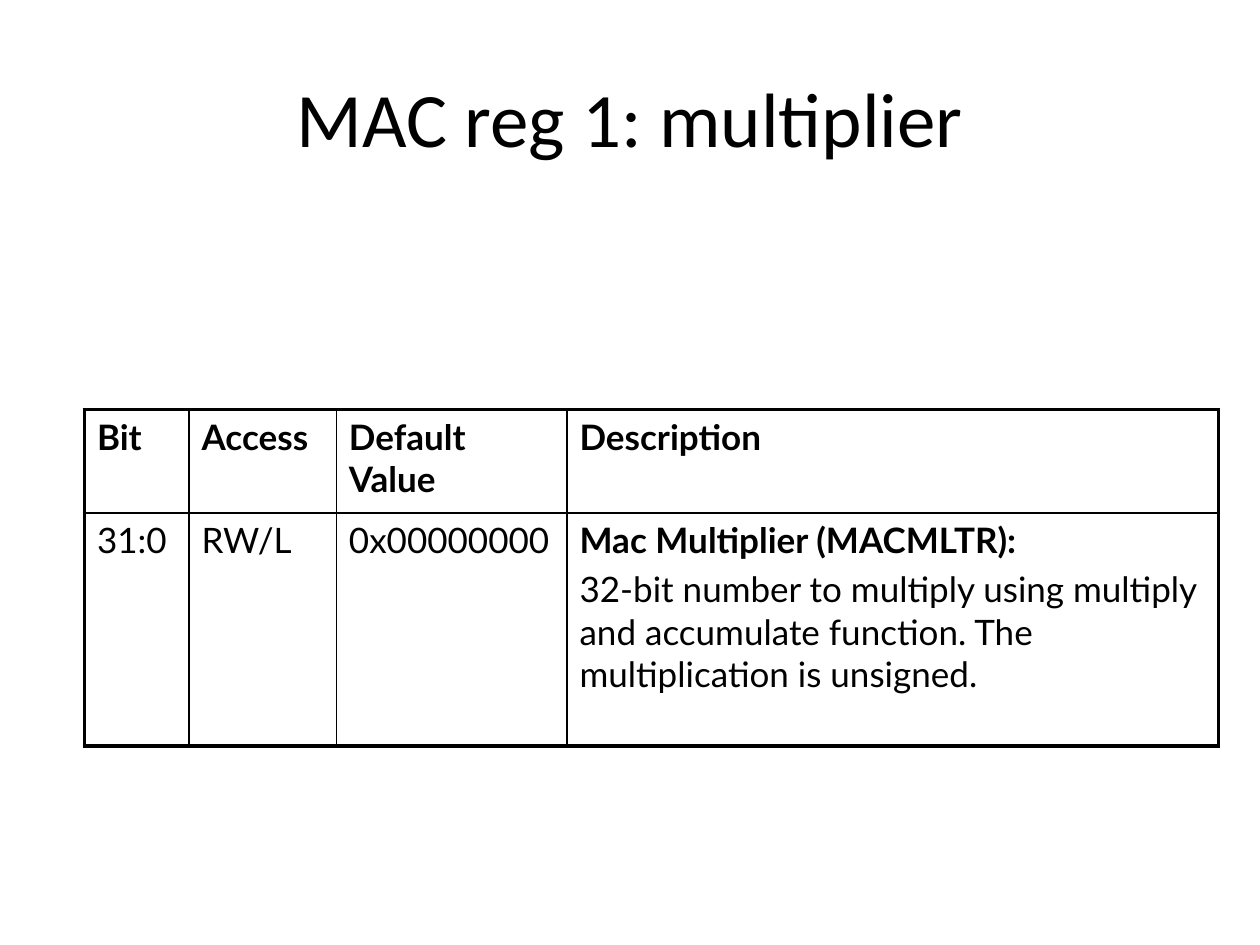
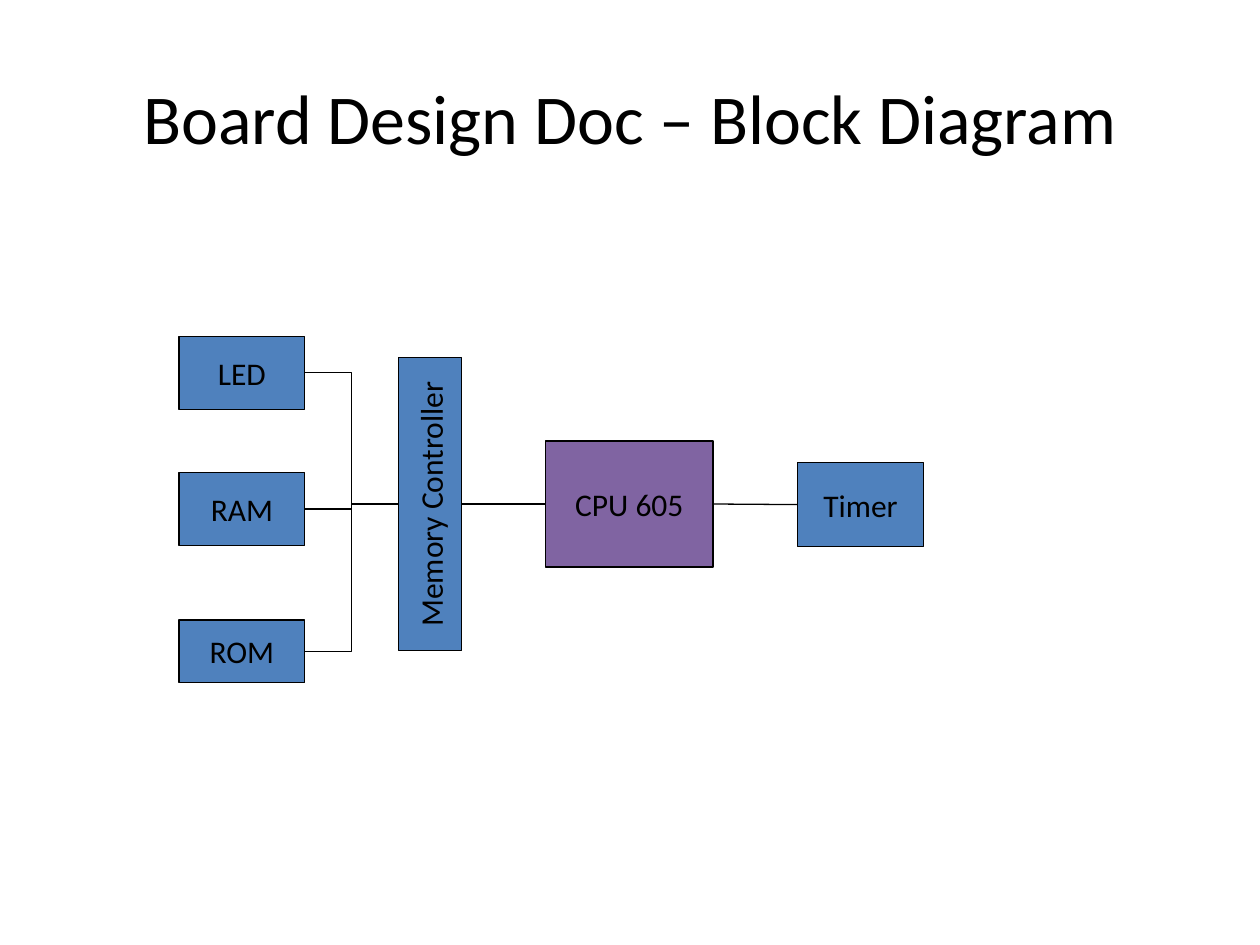
from dataclasses import dataclass

from lxml import etree
from pptx import Presentation
from pptx.dml.color import RGBColor
from pptx.enum.shapes import MSO_CONNECTOR, MSO_SHAPE
from pptx.enum.text import MSO_ANCHOR, PP_ALIGN
from pptx.oxml.ns import qn
from pptx.util import Inches, Pt

STRAIGHT, ELBOW = MSO_CONNECTOR.STRAIGHT, MSO_CONNECTOR.ELBOW
RECTANGLE = MSO_SHAPE.RECTANGLE
MIDDLE, CENTER = MSO_ANCHOR.MIDDLE, PP_ALIGN.CENTER
TOP_SIDE, LEFT_SIDE, BOTTOM_SIDE, RIGHT_SIDE = range(4)


@dataclass(frozen=True)
class Theme:
    ink: RGBColor = RGBColor(0x00, 0x00, 0x00)
    blue: RGBColor = RGBColor(0x4F, 0x81, 0xBD)
    purple: RGBColor = RGBColor(0x80, 0x64, 0xA2)
    font: str = "Calibri"
    table_font: str = "Lato"
    title_size: int = 44
    long_title_size: int = 40
    table_size: int = 20
    label_size: int = 18
    line: float = 0.75
    inner_border: float = 1
    outer_border: float = 2.25


THEME = Theme()


def write(para, text, size, font=THEME.font, bold=False):
    span = para.add_run()
    span.text = text
    span.font.name = font
    span.font.size = Pt(size)
    span.font.bold = bold
    span.font.color.rgb = THEME.ink


def add_line(page, kind, start, end):
    line = page.shapes.add_connector(kind, *map(Inches, start + end))
    line.line.color.rgb = THEME.ink
    line.line.width = Pt(THEME.line)
    etree.SubElement(line._element.spPr, qn("a:effectLst"))
    return line


deck = Presentation()
deck.slide_width, deck.slide_height = Inches(10), Inches(7.5)

# Pages and their titles
pages = []
for text, size in (
    ("MAC reg 1: multiplier", THEME.title_size),
    ("Board Design Doc – Block Diagram", THEME.long_title_size),
):
    page = deck.slides.add_slide(deck.slide_layouts[5])
    title = page.shapes.title
    title.left, title.top = Inches(0.5), Inches(0.3)
    title.width, title.height = Inches(9), Inches(1.25)
    title.text_frame.vertical_anchor = MIDDLE
    para = title.text_frame.paragraphs[0]
    para.alignment = CENTER
    write(para, text, size)
    pages.append(page)
register_page, diagram_page = pages

# Register table: each cell is a list of (text, bold) paragraphs
column_widths = (0.83, 1.17, 1.83, 5.17)
row_heights = (0.82, 1.85)
register_rows = (
    [[(heading, True)] for heading in ("Bit", "Access", "Default Value", "Description")],
    [
        [("31:0", False)],
        [("RW/L", False)],
        [("0x00000000", False)],
        [
            ("Mac Multiplier (MACMLTR):", True),
            ("32-bit number to multiply using multiply and accumulate function. "
             "The multiplication is unsigned.", False),
        ],
    ],
)
last_row, last_column = len(row_heights) - 1, len(column_widths) - 1
table = register_page.shapes.add_table(
    len(row_heights), len(column_widths), Inches(0.67), Inches(3.25),
    Inches(sum(column_widths)), Inches(sum(row_heights)),
).table
table.first_row = table.horz_banding = False
for column, width in zip(table.columns, column_widths):
    column.width = Inches(width)
for row, height in zip(table.rows, row_heights):
    row.height = Inches(height)

for row_index, row in enumerate(register_rows):
    for column_index, entries in enumerate(row):
        cell = table.cell(row_index, column_index)
        for index, (text, bold) in enumerate(entries):
            frame = cell.text_frame
            para = frame.add_paragraph() if index else frame.paragraphs[0]
            if index:
                para.space_before = Pt(0.2 * THEME.table_size)
            write(para, text, THEME.table_size, THEME.table_font, bold)

        # Heavy border around the table, thin borders inside
        cell_properties = cell._tc.get_or_add_tcPr()
        for side, is_outer in (
            ("L", column_index == 0),
            ("R", column_index == last_column),
            ("T", row_index == 0),
            ("B", row_index == last_row),
        ):
            weight = THEME.outer_border if is_outer else THEME.inner_border
            border = etree.SubElement(cell_properties, qn(f"a:ln{side}"), w=str(Pt(weight)))
            border_fill = etree.SubElement(border, qn("a:solidFill"))
            etree.SubElement(border_fill, qn("a:srgbClr"), val=str(THEME.ink))
        cell.fill.background()

# Diagram blocks: left, top, width, height, colour, rotation
blocks = {
    "CPU 605": (4.33, 3.5, 1.33, 1, THEME.purple, 0),
    "Memory Controller": (2.25, 3.75, 2.33, 0.5, THEME.blue, 270),
    "ROM": (1.42, 4.92, 1, 0.5, THEME.blue, 0),
    "RAM": (1.42, 3.75, 1, 0.58, THEME.blue, 0),
    "LED": (1.42, 2.67, 1, 0.58, THEME.blue, 0),
    "Timer": (6.33, 3.67, 1, 0.67, THEME.blue, 0),
}
boxes = {}
for label, (left, top, width, height, colour, rotation) in blocks.items():
    box = diagram_page.shapes.add_shape(
        RECTANGLE, Inches(left), Inches(top), Inches(width), Inches(height))
    box.rotation = rotation
    box.shadow.inherit = False
    box.fill.solid()
    box.fill.fore_color.rgb = colour
    box.line.color.rgb = THEME.ink
    box.line.width = Pt(THEME.line)
    box.text_frame.word_wrap = False
    box.text_frame.vertical_anchor = MIDDLE
    para = box.text_frame.paragraphs[0]
    para.alignment = CENTER
    write(para, label, THEME.label_size)
    boxes[label] = box

# Bus from the controller to each memory device
bus_y = 4
for device in ("LED", "ROM", "RAM"):
    left, top, width, height = blocks[device][:4]
    add_line(diagram_page, ELBOW, (3.16, bus_y), (left + width, top + height / 2))

# Processor links; the controller is turned, so its bottom side faces right
controller_link = add_line(diagram_page, STRAIGHT, (4.33, bus_y), (3.67, bus_y))
controller_link.begin_connect(boxes["CPU 605"], LEFT_SIDE)
controller_link.end_connect(boxes["Memory Controller"], BOTTOM_SIDE)
controller_link.end_x, controller_link.end_y = Inches(3.67), Inches(bus_y)

timer_link = add_line(diagram_page, STRAIGHT, (5.67, bus_y), (6.33, bus_y))
timer_link.begin_connect(boxes["CPU 605"], RIGHT_SIDE)
timer_link.end_connect(boxes["Timer"], LEFT_SIDE)

deck.save("out.pptx")
